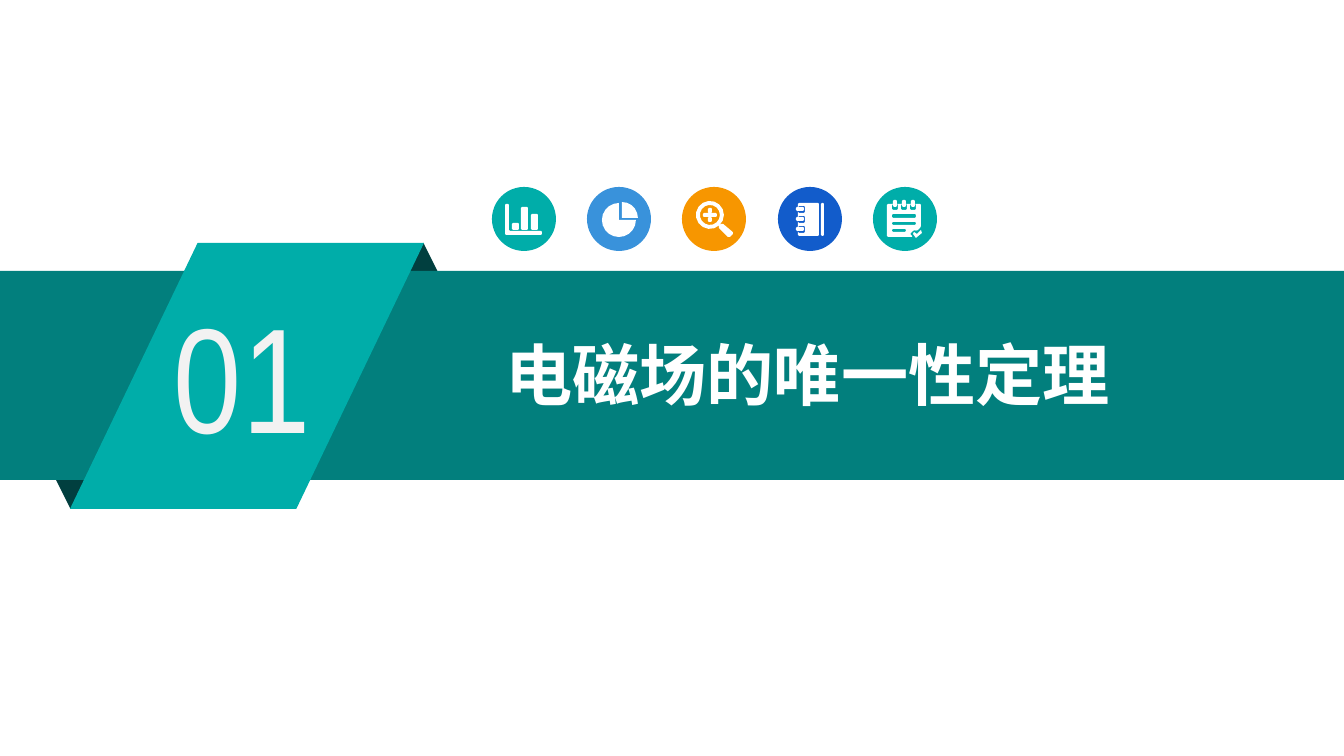
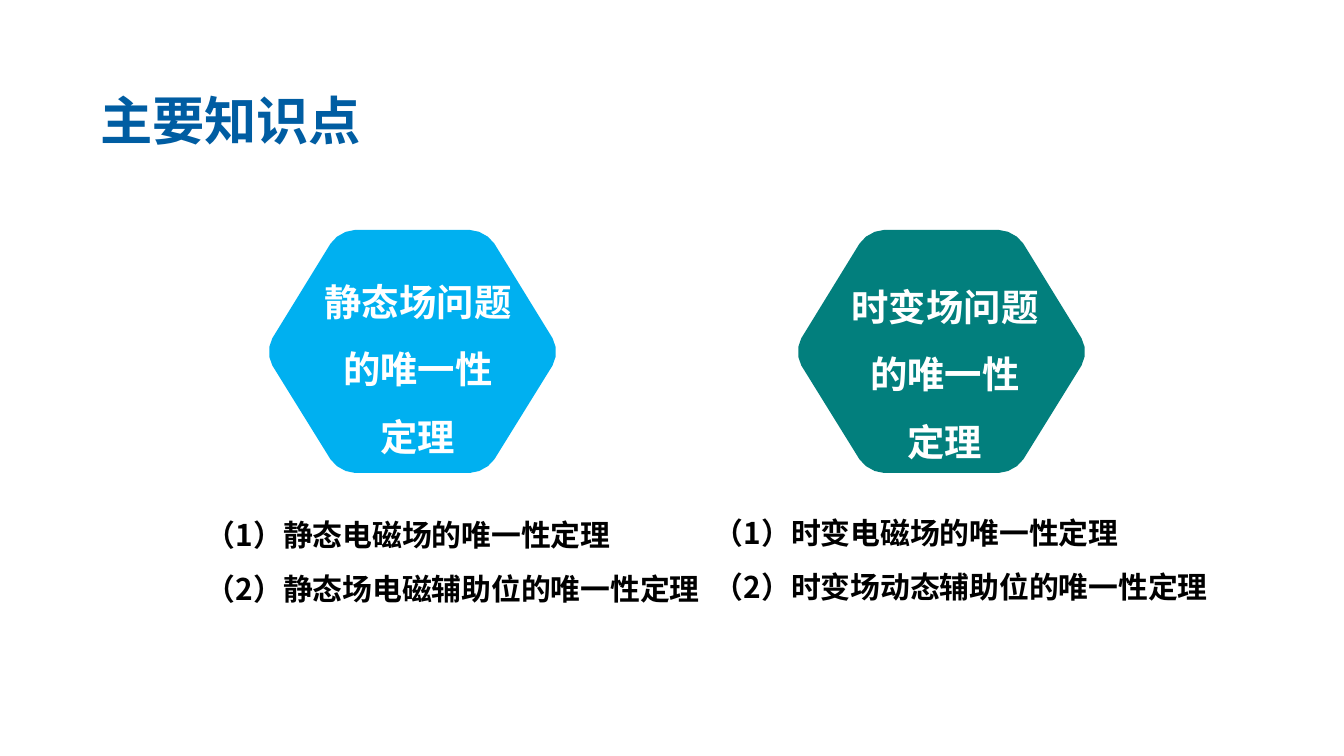
from dataclasses import dataclass
from math import cos, radians, sin
from typing import NamedTuple

from lxml.etree import SubElement
from pptx import Presentation
from pptx.dml.color import RGBColor
from pptx.enum.shapes import MSO_SHAPE
from pptx.enum.text import MSO_ANCHOR, MSO_AUTO_SIZE, PP_ALIGN
from pptx.oxml.ns import qn
from pptx.util import Emu, Pt

SCALE = 914400 / 134.4
WIDTH, HEIGHT = 1344, 756
CJK_FONT, NUMBER_FONT = "Noto Sans CJK SC", "Arial Narrow"
WHITE, BLACK, PALE = "FFFFFF", "000000", "F2F2F2"
TEAL, DEEP_TEAL, FOLD = "00ADA9", "027F7D", "013F3F"
SKY, BLUE, ORANGE, ROYAL, NAVY = "00B0F0", "3992DB", "F79600", "125CCB", "005DA2"
TITLE_ONLY = 5

Point = tuple[float, float]
Contour = list[Point]


class Box(NamedTuple):
    x: int
    y: int
    w: int
    h: int


@dataclass
class Icon:
    color: str
    contours: list[Contour]


@dataclass
class Topic:
    color: str
    hexagon_x: int
    label: Box
    label_lines: list[str]
    items: Box
    item_lines: list[str]


def px(value: float) -> Emu:
    return Emu(round(value * SCALE))


def rgb(color: str) -> RGBColor:
    return RGBColor.from_string(color)


def paint(sp, color: str) -> None:
    sp.shadow.inherit = False
    sp.fill.solid()
    sp.fill.fore_color.rgb = rgb(color)
    sp.line.fill.background()


def add_preset(shapes, kind: MSO_SHAPE, box: Box, color: str):
    sp = shapes.add_shape(kind, *map(px, box))
    paint(sp, color)
    return sp


def add_outline(shapes, contours: list[Contour], x: int, y: int, color: str) -> None:
    placed = [[(px(x + a), px(y + b)) for a, b in c] for c in contours]
    builder = shapes.build_freeform(*placed[0][0], scale=1.0)
    builder.add_line_segments(placed[0][1:], close=True)
    for contour in placed[1:]:
        builder.move_to(*contour[0])
        builder.add_line_segments(contour[1:], close=True)
    paint(builder.convert_to_shape(), color)


def toward(a: Point, b: Point, length: float) -> Point:
    dx, dy = b[0] - a[0], b[1] - a[1]
    ratio = length / (dx * dx + dy * dy) ** 0.5
    return a[0] + dx * ratio, a[1] + dy * ratio


def rounded(corners: Contour, cut: float, steps: int = 1) -> Contour:
    points = []
    for i, corner in enumerate(corners):
        before, after = corners[i - 1], corners[(i + 1) % len(corners)]
        curve = [toward(corner, before, cut), toward(corner, before, cut * 0.45),
                 toward(corner, after, cut * 0.45), toward(corner, after, cut)]
        for step in range(steps + 1):
            t = step / steps
            weights = ((1 - t) ** 3, 3 * t * (1 - t) ** 2, 3 * t * t * (1 - t), t ** 3)
            points.append((sum(w * p[0] for w, p in zip(weights, curve)),
                           sum(w * p[1] for w, p in zip(weights, curve))))
    return points


def bar(x: int, y: int, w: int, h: int) -> Contour:
    return rounded([(x, y), (x + w, y), (x + w, y + h), (x, y + h)], 1)


def arc(cx: int, cy: int, radius: int, start: int, stop: int, step: int) -> Contour:
    return [(cx + radius * cos(radians(d)), cy + radius * sin(radians(d)))
            for d in range(start, stop + 1, step)]


def ring(radius: int) -> Contour:
    return arc(28, 28, radius, 0, 336, 24)


def write(sp, lines: list[str], *, size: int, color: str, font: str = CJK_FONT,
          bold: bool = True, align: PP_ALIGN = PP_ALIGN.LEFT, spacing: float = 1.0,
          inset: tuple[int, int] = (10, 5), anchor: MSO_ANCHOR = MSO_ANCHOR.TOP,
          fit: MSO_AUTO_SIZE = MSO_AUTO_SIZE.SHAPE_TO_FIT_TEXT) -> None:
    tf = sp.text_frame
    tf.word_wrap = True
    tf.auto_size = fit
    tf.vertical_anchor = anchor
    tf.margin_left = tf.margin_right = px(inset[0])
    tf.margin_top = tf.margin_bottom = px(inset[1])
    for i, line in enumerate(lines):
        p = tf.add_paragraph() if i else tf.paragraphs[0]
        p.alignment = align
        p.line_spacing = spacing
        r = p.add_run()
        r.text = line
        r.font.size = Pt(size)
        r.font.bold = bold
        r.font.color.rgb = rgb(color)
        r.font.name = font
        SubElement(r.font._element, qn("a:ea")).set("typeface", font)


def add_text(shapes, box: Box, lines: list[str], **style) -> None:
    write(shapes.add_textbox(*map(px, box)), lines, **style)


def set_title(s, box: Box, text: str, **style) -> None:
    title = s.shapes.title
    title.left, title.top, title.width, title.height = map(px, box)
    write(title, [text], fit=MSO_AUTO_SIZE.NONE, **style)
    s.shapes.element.append(title.element)


BAR_CHART = [rounded([(13, 17), (17, 17), (17, 44), (50, 44), (50, 48), (13, 48)], 1),
             bar(20, 36, 7, 7), bar(29, 20, 7, 23), bar(39, 27, 7, 16)]
PIE_CHART = [[(35, 31)] + arc(35, 31, 16, -90, 0, 18),
             [(32, 33)] + arc(32, 33, 17, 0, 270, 18)]
MAGNIFIER = [ring(14), ring(10),
             bar(21, 26, 14, 4), bar(26, 21, 4, 5), bar(26, 30, 4, 5),
             rounded([(36, 40), (40, 36), (52, 46), (47, 51)], 1.5)]
NOTEBOOK = [bar(43, 16, 3, 33), bar(20, 16, 21, 33)]
for notch_y in (19, 29, 39):
    NOTEBOOK += [bar(20, notch_y, 7, 7), bar(18, notch_y + 1, 8, 4)]
CHECKLIST = [rounded([(14, 17), (48, 17), (48, 40), (44, 44), (41, 43),
                      (37, 47), (40, 50), (14, 50)], 1),
             bar(19, 27, 24, 4), bar(19, 35, 24, 3), bar(19, 42, 14, 3),
             [(40, 47), (41, 45), (44, 47), (48, 43), (49, 46), (43, 51)]]
for ring_x in (22, 31, 40):
    CHECKLIST += [bar(ring_x - 3, 17, 6, 6), bar(ring_x - 2, 13, 4, 7)]

ICONS = [Icon(TEAL, BAR_CHART), Icon(BLUE, PIE_CHART), Icon(ORANGE, MAGNIFIER),
         Icon(ROYAL, NOTEBOOK), Icon(TEAL, CHECKLIST)]
ICON_X, ICON_Y, ICON_SIZE, ICON_SPAN = 492, 187, 64, 381

HEXAGON = rounded([(0, 122), (75, 0), (222, 0), (297, 122), (222, 243), (75, 243)], 16, 3)
HEXAGON_Y = 230
TOPICS = [
    Topic(DEEP_TEAL, 793, Box(841, 262, 208, 203), ["时变场问题的唯一性", "定理"],
          Box(704, 492, 530, 118),
          ["（1）时变电磁场的唯一性定理", "（2）时变场动态辅助位的唯一性定理"]),
    Topic(SKY, 264, Box(314, 257, 208, 196), ["静态场问题的唯一性", "定理"],
          Box(196, 494, 530, 118),
          ["（1）静态电磁场的唯一性定理", "（2）静态场电磁辅助位的唯一性定理"]),
]


def build_section(s) -> None:
    banner = s.shapes.add_group_shape().shapes
    add_preset(banner, MSO_SHAPE.ISOSCELES_TRIANGLE, Box(363, 243, 121, 122), FOLD)
    lower = add_preset(banner, MSO_SHAPE.ISOSCELES_TRIANGLE, Box(10, 388, 121, 121), FOLD)
    lower.rotation = 180
    add_preset(banner, MSO_SHAPE.RECTANGLE, Box(0, 271, WIDTH, 209), DEEP_TEAL)
    ribbon = add_preset(banner, MSO_SHAPE.PARALLELOGRAM, Box(70, 243, 354, 266), TEAL)
    ribbon.adjustments[0] = 0.48
    add_text(banner, Box(164, 279, 195, 191), ["01"], size=80, color=PALE,
             font=NUMBER_FONT, bold=False)
    set_title(s, Box(450, 328, 715, 91), "电磁场的唯一性定理", size=36, color=WHITE,
              align=PP_ALIGN.CENTER)
    for i, icon in enumerate(ICONS):
        x = ICON_X + round(i * ICON_SPAN / (len(ICONS) - 1))
        group = s.shapes.add_group_shape().shapes
        add_preset(group, MSO_SHAPE.OVAL, Box(x, ICON_Y, ICON_SIZE, ICON_SIZE), icon.color)
        add_outline(group, icon.contours, x, ICON_Y, WHITE)


def build_topics(s) -> None:
    set_title(s, Box(87, 83, 723, 73), "主要知识点", size=28, color=NAVY,
              inset=(13, 7), anchor=MSO_ANCHOR.MIDDLE)
    for topic in TOPICS:
        add_outline(s.shapes, [HEXAGON], topic.hexagon_x, HEXAGON_Y, topic.color)
    for topic in reversed(TOPICS):
        add_text(s.shapes, topic.label, topic.label_lines, size=20, color=WHITE,
                 align=PP_ALIGN.CENTER, spacing=1.5, inset=(0, 0))
    for topic in reversed(TOPICS):
        add_text(s.shapes, topic.items, topic.item_lines, size=16, color=BLACK,
                 spacing=1.5)


def main() -> None:
    prs = Presentation()
    prs.slide_width, prs.slide_height = px(WIDTH), px(HEIGHT)
    for build in (build_section, build_topics):
        build(prs.slides.add_slide(prs.slide_layouts[TITLE_ONLY]))
    prs.save("out.pptx")


if __name__ == "__main__":
    main()
